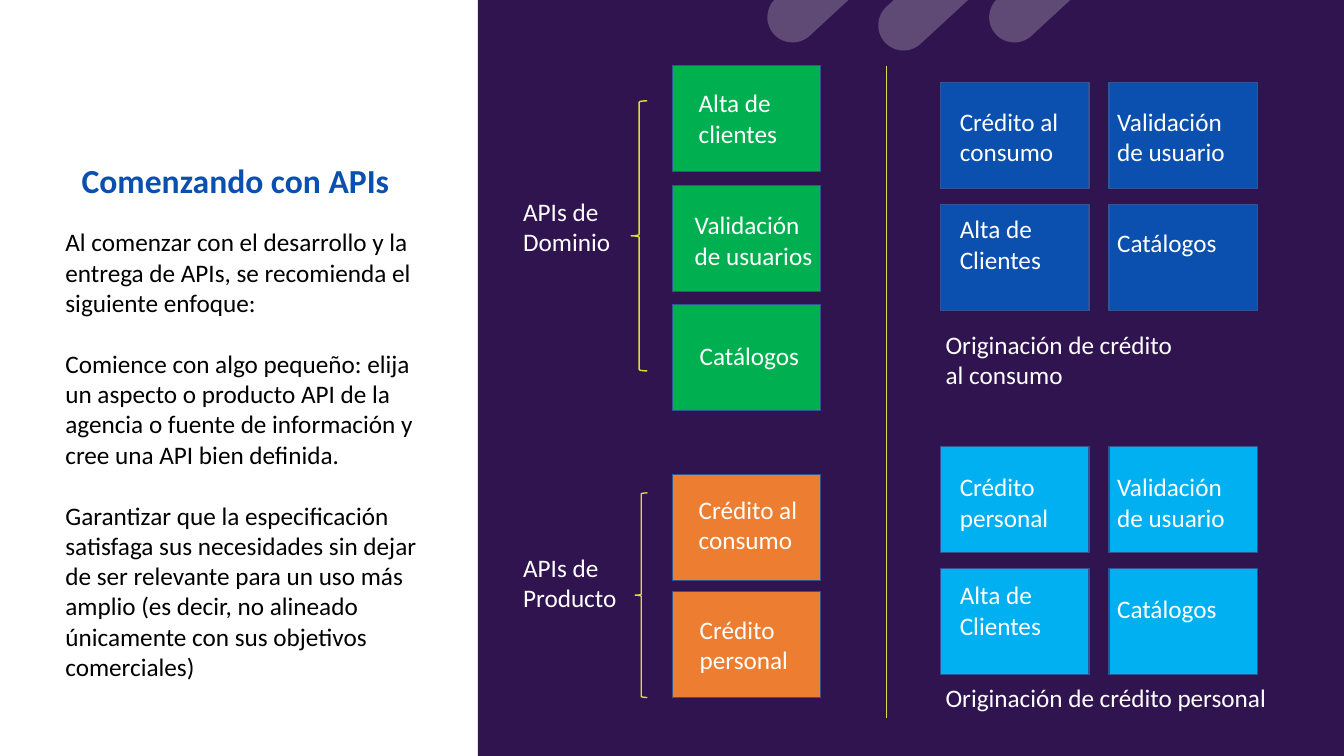
from dataclasses import dataclass

from lxml.etree import SubElement
from pptx import Presentation
from pptx.dml.color import RGBColor
from pptx.enum.shapes import MSO_CONNECTOR as CONN, MSO_SHAPE as SHAPE
from pptx.enum.text import MSO_ANCHOR as ANCHOR, PP_ALIGN as ALIGN
from pptx.oxml.ns import qn
from pptx.util import Inches, Pt


@dataclass(frozen=True)
class Theme:
    font: str = "Calibri"
    title_size: int = 24
    body_size: int = 18
    panel: str = "301450"
    blue: str = "0B50AE"
    cyan: str = "01B0F0"
    green: str = "00B050"
    orange: str = "ED7D31"
    border: str = "325491"
    accent: str = "DADE3A"
    bar: str = "D9D9D9"
    dark: str = "000000"
    light: str = "FFFFFF"


T = Theme()

TITLE = "Comenzando con APIs"
BODY = [
    "Al comenzar con el desarrollo y la entrega de APIs, se recomienda el siguiente enfoque:",
    "Comience con algo pequeño: elija un aspecto o producto API de la agencia o fuente de "
    "información y cree una API bien definida.",
    "Garantizar que la especificación satisfaga sus necesidades sin dejar de ser relevante para "
    "un uso más amplio (es decir, no alineado únicamente con sus objetivos comerciales)",
]
# label lines, label top, brace frame, fill, boxes as (text, top, text inset x, text inset y)
API_GROUPS = [
    (["APIs de", "Dominio"], 1.9, (6.26, 1, 0.16, 2.68), T.green,
     [("Alta de clientes", 0.65, 0.26, 0.22),
      ("Validación de usuarios", 1.84, 0.22, 0.24),
      ("Catálogos", 3.02, 0.27, 0.36)]),
    (["APIs de", "Producto"], 5.43, (6.3, 4.89, 0.12, 2.03), T.orange,
     [("Crédito al consumo", 4.71, 0.26, 0.19),
      ("Crédito personal", 5.87, 0.27, 0.22)]),
]
# caption lines, caption top, grid top, fill, boxes row by row as (text, text inset y)
PRODUCTS = [
    (["Originación de crédito", "al consumo"], 3.22, 0.82, T.blue,
     [("Crédito al consumo", 0.23), ("Validación de usuario", 0.23),
      ("Alta de Clientes", 0.09), ("Catálogos", 0.22)]),
    (["Originación de crédito personal"], 6.72, 4.43, T.cyan,
     [("Crédito personal", 0.25), ("Validación de usuario", 0.25),
      ("Alta de Clientes", 0.11), ("Catálogos", 0.25)]),
]
BOX_W, BOX_H, TEXT_W = 1.47, 1.05, 1.2
API_X, GRID_X, GRID_DX, GRID_DY = 6.67, 9.33, 1.67, 1.21
GRID_INSETS = (0.19, 0.08)
BAR_X, BAR_DX, BAR_TOPS = 9.07, 1.1, (-3.41, -3.33, -3.41)


def rgb(color):
    return RGBColor.from_string(color)


def write(tf, lines, color, size=T.body_size, bold=False, gap=0):
    tf.word_wrap = True
    tf.vertical_anchor = ANCHOR.TOP
    for i, line in enumerate(lines):
        p = tf.add_paragraph() if i else tf.paragraphs[0]
        p.text = line
        p.alignment = ALIGN.LEFT
        p.space_after = Pt(gap)
        p.font.name, p.font.size, p.font.bold = T.font, Pt(size), bold
        p.font.color.rgb = rgb(color)


def add_text(s, frame, lines, color, gap=0):
    write(s.shapes.add_textbox(*map(Inches, frame)).text_frame, lines, color, gap=gap)


def add_shape(s, kind, frame, fill=None, line=None):
    sp = s.shapes.add_shape(kind, *map(Inches, frame))
    sp.shadow.inherit = False
    if fill:
        sp.fill.solid()
        sp.fill.fore_color.rgb = rgb(fill)
    else:
        sp.fill.background()
    if line:
        sp.line.color.rgb = rgb(line)
        sp.line.width = Pt(1)
    else:
        sp.line.fill.background()
    return sp


def add_box(s, x, y, fill, text, inset_x, inset_y):
    sp = add_shape(s, SHAPE.RECTANGLE, (x, y, BOX_W, BOX_H), fill, T.border)
    tf = sp.text_frame
    tf.margin_left, tf.margin_top = Inches(inset_x), Inches(inset_y)
    tf.margin_right, tf.margin_bottom = Inches(BOX_W - inset_x - TEXT_W), 0
    write(tf, [text], T.light)


def add_bar(s, x, y):
    sp = add_shape(s, SHAPE.ROUNDED_RECTANGLE, (x, y, 0.5, 4.47), T.bar)
    sp.adjustments[0] = 0.5
    sp.rotation = 227.3
    color = sp.fill._xPr.find(qn("a:solidFill"))[0]
    SubElement(color, qn("a:alpha")).set("val", "28000")


def add_divider(s, x, top, bottom):
    c = s.shapes.add_connector(CONN.STRAIGHT, *map(Inches, (x, top, x, bottom)))
    c.line.color.rgb = rgb(T.accent)
    c.line.width = Pt(1)
    SubElement(c._element.spPr, qn("a:effectLst"))


def main():
    prs = Presentation()
    prs.slide_width, prs.slide_height = Inches(13.33), Inches(7.5)
    s = prs.slides.add_slide(prs.slide_layouts[5])

    title = s.shapes.title
    title.left, title.top, title.width, title.height = map(Inches, (0.71, 1.54, 3.42, 0.5))
    write(title.text_frame, [TITLE], T.blue, T.title_size, bold=True)
    add_text(s, (0.55, 2.2, 3.82, 5.25), BODY, T.dark, gap=22)
    add_shape(s, SHAPE.RECTANGLE, (4.74, 0, 8.6, 7.5), T.panel)

    for label, label_y, brace, fill, boxes in API_GROUPS:
        add_text(s, (5.09, label_y, 1.58, 0.71), label, T.light)
        add_shape(s, SHAPE.LEFT_BRACE, brace, line=T.accent)
        for text, y, inset_x, inset_y in boxes:
            add_box(s, API_X, y, fill, text, inset_x, inset_y)

    for caption, caption_y, top, fill, boxes in PRODUCTS:
        for i, (text, inset_y) in enumerate(boxes):
            row, col = divmod(i, 2)
            add_box(s, GRID_X + col * GRID_DX, top + row * GRID_DY, fill,
                    text, GRID_INSETS[col], inset_y)
        add_text(s, (9.28, caption_y, 3.91, 0.31 * len(caption) + 0.09), caption, T.light)

    for i, top in enumerate(BAR_TOPS):
        add_bar(s, BAR_X + i * BAR_DX, top)
    add_divider(s, 8.79, 0.65, 7.12)
    prs.save("out.pptx")


if __name__ == "__main__":
    main()
